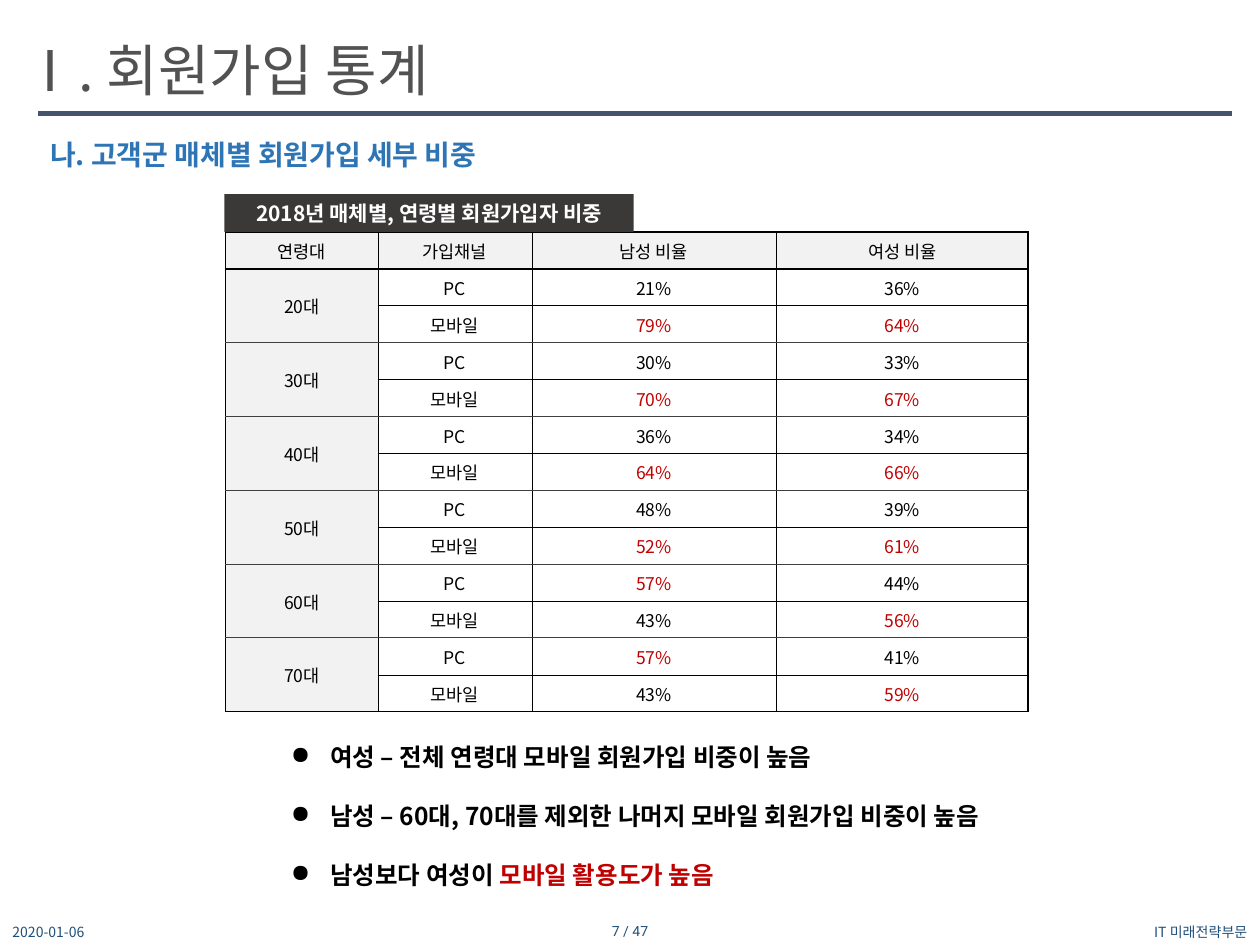
from lxml.etree import SubElement
from pptx import Presentation
from pptx.dml.color import RGBColor as Color
from pptx.enum.shapes import MSO_CONNECTOR as Connector, MSO_SHAPE as Shape
from pptx.enum.text import MSO_ANCHOR as Anchor, MSO_AUTO_SIZE as AutoSize, PP_ALIGN as Align
from pptx.oxml.ns import qn
from pptx.util import Pt

FONT = "Noto Sans CJK KR"
NUMBER_FONT = "Roboto"
BLACK = Color(0x00, 0x00, 0x00)
WHITE = Color(0xFF, 0xFF, 0xFF)
RED = Color(0xC0, 0x00, 0x00)
NAVY = Color(0x1F, 0x4E, 0x79)
BLUE = Color(0x2E, 0x75, 0xB6)
SLATE = Color(0x44, 0x54, 0x6A)
TITLE_GRAY = Color(0x52, 0x52, 0x52)
CAPTION_GRAY = Color(0x3B, 0x38, 0x38)
GROUP_GRAY = Color(0x40, 0x40, 0x40)
LIGHT_GRAY = Color(0xF2, 0xF2, 0xF2)

HEADERS = ["연령대", "가입채널", "남성 비율", "여성 비율"]
COLUMN_WIDTHS = [87.12, 87.84, 139.68, 144]
ROW_HEIGHT = 21.1
PC_SHARES = {
    "20대": (21, 36),
    "30대": (30, 33),
    "40대": (36, 34),
    "50대": (48, 39),
    "60대": (57, 44),
    "70대": (57, 41),
}
ROW_COUNT = 1 + 2 * len(PC_SHARES)
FINDINGS = [
    [("여성 – 전체 연령대 모바일 회원가입 비중이 높음", BLACK)],
    [("남성 – 60대, 70대를 제외한 나머지 모바일 회원가입 비중이 높음", BLACK)],
    [("남성보다 여성이 ", BLACK), ("모바일 활용도가 높음", RED)],
]


def add_span(para, text, size=10, color=BLACK, bold=False, font=FONT):
    span = para.add_run()
    span.text = text
    span.font.size = Pt(size)
    span.font.bold = bold
    span.font.color.rgb = color
    span.font.name = font
    SubElement(span.font._element, qn("a:ea")).set("typeface", font)


def write(frame, text, align=Align.LEFT, anchor=Anchor.TOP, **style):
    frame.word_wrap = True
    frame.auto_size = AutoSize.NONE
    frame.vertical_anchor = anchor
    para = frame.paragraphs[0]
    para.alignment = align
    add_span(para, text, **style)


def add_label(page, box, text, **style):
    label = page.shapes.add_textbox(*map(Pt, box))
    write(label.text_frame, text, **style)


def add_heading(page, box):
    left, top, width, height = box
    title = page.shapes.title
    title.left, title.top = Pt(left + 5.76), Pt(top)
    title.width, title.height = Pt(459.36), Pt(46.08)
    write(title.text_frame, "Ⅰ. 회원가입 통계", size=32, color=TITLE_GRAY)
    rule_y = Pt(top + 48.24)
    rule = page.shapes.add_connector(
        Connector.STRAIGHT, Pt(left + 21.6), rule_y, Pt(left + width - 15.84), rule_y)
    rule.line.color.rgb = SLATE
    rule.line.width = Pt(3)
    SubElement(rule._element.spPr, qn("a:effectLst"))
    add_label(page, (left + 21.6, top + height - 26.64, 275.04, 26.64),
              "나. 고객군 매체별 회원가입 세부 비중", size=16, color=BLUE, bold=True)


def add_caption(page, box):
    caption = page.shapes.add_shape(Shape.RECTANGLE, *map(Pt, box))
    caption.shadow.inherit = False
    caption.fill.solid()
    caption.fill.fore_color.rgb = CAPTION_GRAY
    caption.line.fill.background()
    write(caption.text_frame, "2018년 매체별, 연령별 회원가입자 비중", size=12,
          color=WHITE, bold=True, align=Align.CENTER, anchor=Anchor.MIDDLE)


def row_border(index):
    if index in (0, 1, ROW_COUNT):
        return BLACK, 1
    return (GROUP_GRAY, 0.5) if index % 2 else (BLACK, 0.25)


def column_border(index):
    return BLACK, 1 if index in (0, len(HEADERS)) else 0.25


def set_borders(cell, row, column):
    height = 2 if cell.is_merge_origin else 1
    borders = {
        "L": column_border(column),
        "R": column_border(column + 1),
        "T": row_border(row),
        "B": row_border(row + height),
    }
    properties = cell._tc.get_or_add_tcPr()
    for side, (color, width) in borders.items():
        line = SubElement(properties, qn(f"a:ln{side}"), w=str(Pt(width)))
        fill = SubElement(line, qn("a:solidFill"))
        SubElement(fill, qn("a:srgbClr"), val=str(color))


def format_cell(cell, row, column):
    cell.margin_left = cell.margin_right = cell.margin_top = Pt(0.72)
    cell.margin_bottom = Pt(0)
    cell.vertical_anchor = Anchor.MIDDLE
    set_borders(cell, row, column)
    if row == 0 or column == 0:
        cell.fill.solid()
        cell.fill.fore_color.rgb = LIGHT_GRAY
    else:
        cell.fill.background()


def table_rows():
    yield HEADERS
    for age, shares in PC_SHARES.items():
        yield [age, "PC", *shares]
        yield ["", "모바일", *(100 - share for share in shares)]


def add_share_table(page, box):
    table = page.shapes.add_table(ROW_COUNT, len(HEADERS), *map(Pt, box)).table
    table.first_row = table.horz_banding = False
    for column, width in zip(table.columns, COLUMN_WIDTHS):
        column.width = Pt(width)
    for row in table.rows:
        row.height = Pt(ROW_HEIGHT)
    for row in range(1, ROW_COUNT, 2):
        table.cell(row, 0).merge(table.cell(row + 1, 0))
    for row, values in enumerate(table_rows()):
        for column, value in enumerate(values):
            cell = table.cell(row, column)
            format_cell(cell, row, column)
            if cell.is_spanned:
                continue
            is_share = isinstance(value, int)
            para = cell.text_frame.paragraphs[0]
            para.alignment = Align.CENTER
            add_span(para, f"{value}%" if is_share else value,
                     color=RED if is_share and value > 50 else BLACK)


def add_findings(page, box):
    frame = page.shapes.add_textbox(*map(Pt, box)).text_frame
    frame.word_wrap = True
    for index, spans in enumerate(FINDINGS):
        para = frame.add_paragraph() if index else frame.paragraphs[0]
        para.line_spacing = 2.0
        properties = para._p.get_or_add_pPr()
        properties.set("marL", str(Pt(22.5)))
        properties.set("indent", str(Pt(-22.5)))
        SubElement(properties, qn("a:buChar"), char="●")
        for text, color in spans:
            add_span(para, text, size=14, color=color, bold=True)


def add_footer(page, box):
    left, top, width, height = box
    style = dict(size=8, color=NAVY, anchor=Anchor.MIDDLE)
    add_label(page, (left, top + 0.72, 162, height), "2020-01-06", **style)
    add_label(page, (left + (width - 162) / 2, top, 162, height), "7 / 47",
              align=Align.CENTER, font=NUMBER_FONT, **style)
    add_label(page, (left + width - 136.8, top, 136.8, height + 0.72),
              "IT 미래전략부문", align=Align.RIGHT, **style)


def main():
    deck = Presentation()
    deck.slide_width, deck.slide_height = Pt(720), Pt(540)
    page = deck.slides.add_slide(deck.slide_layouts[5])
    add_heading(page, (0, 16.56, 720, 84.96))
    add_share_table(page, (128.88, 132.48, sum(COLUMN_WIDTHS), ROW_HEIGHT * ROW_COUNT))
    add_caption(page, (128.16, 110.88, 234, 21.6))
    add_findings(page, (159.12, 403.92, 449.28, 108.72))
    add_footer(page, (0, 524.88, 720, 14.4))
    deck.save("out.pptx")


if __name__ == "__main__":
    main()
